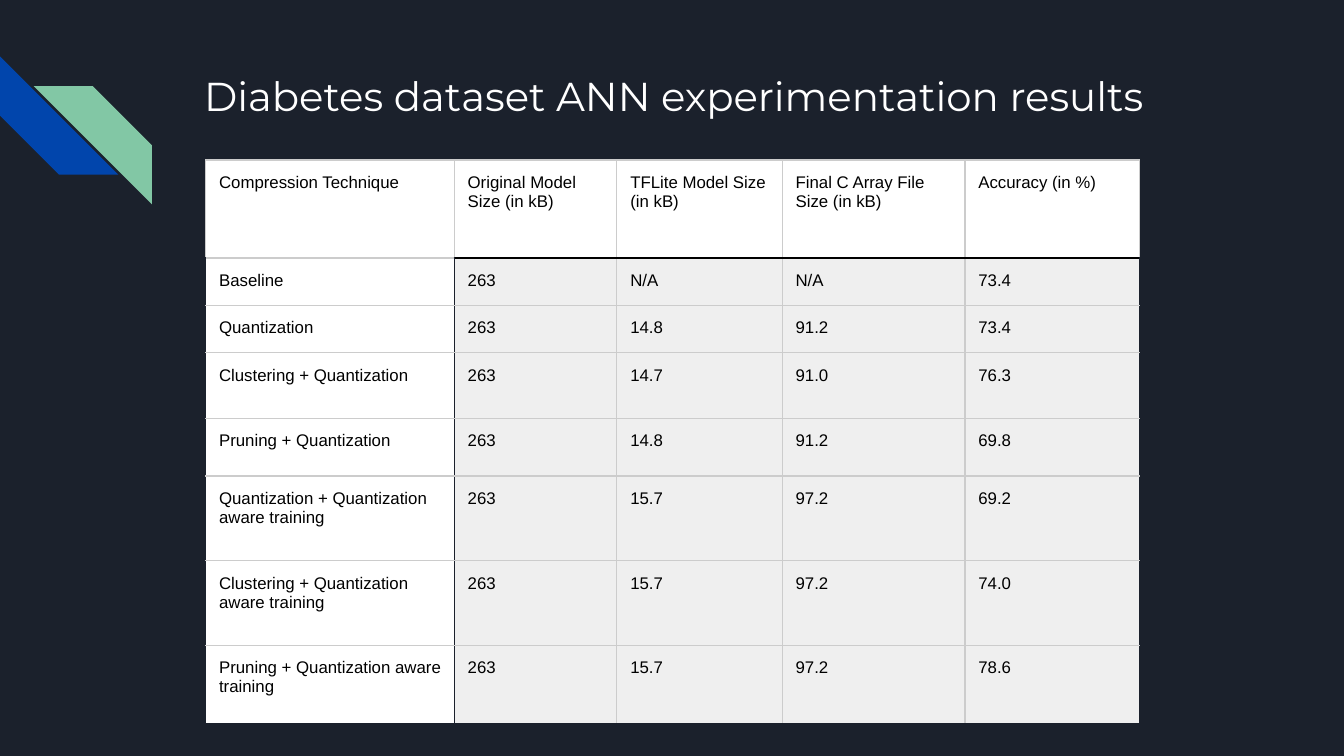
from lxml import etree
from pptx import Presentation
from pptx.dml.color import RGBColor
from pptx.enum.shapes import MSO_SHAPE
from pptx.enum.text import MSO_ANCHOR
from pptx.oxml.ns import qn
from pptx.util import Inches, Pt

STRIPE = MSO_SHAPE.DIAGONAL_STRIPE
TOP = MSO_ANCHOR.TOP

NAVY, BLUE, GREEN = "1B212C", "0145AC", "82C7A5"
WHITE, BLACK, PALE, GREY = "FFFFFF", "000000", "EFEFEF", "CCCCCC"

COLS = [1.85, 1.21, 1.23, 1.36, 1.3]
ROWS = [0.73, 0.34, 0.34, 0.49, 0.43, 0.63, 0.63, 0.58]
DATA = [
    ["Compression Technique", "Original Model Size (in kB)",
     "TFLite Model Size (in kB)", "Final C Array File Size (in kB)",
     "Accuracy (in %)"],
    ["Baseline", "263", "N/A", "N/A", "73.4"],
    ["Quantization", "263", "14.8", "91.2", "73.4"],
    ["Clustering + Quantization", "263", "14.7", "91.0", "76.3"],
    ["Pruning + Quantization", "263", "14.8", "91.2", "69.8"],
    ["Quantization + Quantization aware training", "263", "15.7", "97.2", "69.2"],
    ["Clustering + Quantization aware training", "263", "15.7", "97.2", "74.0"],
    ["Pruning + Quantization aware training", "263", "15.7", "97.2", "78.6"],
]


def paint(fill, color):
    fill.solid()
    fill.fore_color.rgb = RGBColor.from_string(color)


def write(frame, text, size=9, font="Arial", color=BLACK):
    frame.word_wrap = True
    run = frame.paragraphs[0].add_run()
    run.text = text
    run.font.size = Pt(size)
    run.font.name = font
    run.font.color.rgb = RGBColor.from_string(color)


def pad(box):
    box.margin_left = box.margin_right = Inches(0.1)
    box.margin_top = box.margin_bottom = Inches(0.1)
    box.vertical_anchor = TOP


def add_stripe(slide, left, top, color, turn=0, flip=False):
    side = Inches(0.88)
    shape = slide.shapes.add_shape(STRIPE, Inches(left), Inches(top), side, side)
    shape.shadow.inherit = False
    shape.adjustments[0] = 0.5
    shape.rotation = turn
    if flip:
        shape._element.spPr.xfrm.set("flipH", "1")
    paint(shape.fill, color)
    shape.line.fill.background()


def add_title(slide, text):
    box = slide.shapes.add_textbox(Inches(1.42), Inches(0.43), Inches(7.7), Inches(1))
    pad(box.text_frame)
    write(box.text_frame, text, size=21.6, font="Montserrat", color=WHITE)


def add_edge(cell, side, color):
    line = etree.SubElement(cell._tc.get_or_add_tcPr(), qn("a:ln" + side),
                            w=str(Pt(0.75)))
    fill = etree.SubElement(line, qn("a:solidFill"))
    etree.SubElement(fill, qn("a:srgbClr"), val=color)


def edges(row, col):
    """Edge colours of a cell: grey grid, black under the header, navy rim."""
    last_row, last_col = len(ROWS) - 1, len(COLS) - 1
    body = row > 0
    return {
        "L": NAVY if body and col <= 1 else GREY,
        "R": NAVY if body and col in (0, last_col) else GREY,
        "T": BLACK if row == 1 and col > 0 else GREY,
        "B": (BLACK if row == 0 and col > 0
              else NAVY if row == last_row else GREY),
    }


def add_grid(slide):
    frame = slide.shapes.add_table(len(ROWS), len(COLS), Inches(1.53), Inches(1.19),
                                   Inches(sum(COLS)), Inches(sum(ROWS)))
    table = frame.table
    table.first_row = table.horz_banding = False
    for col, width in zip(table.columns, COLS):
        col.width = Inches(width)
    for row, height in zip(table.rows, ROWS):
        row.height = Inches(height)
    for r, texts in enumerate(DATA):
        for c, text in enumerate(texts):
            cell = table.cell(r, c)
            pad(cell)
            write(cell.text_frame, text)
            for side, color in edges(r, c).items():
                add_edge(cell, side, color)
            paint(cell.fill, PALE if r and c else WHITE)


def main():
    deck = Presentation()
    # Widescreen, 16 to 9
    deck.slide_width = Inches(10)
    deck.slide_height = Inches(10) * 9 // 16
    slide = deck.slides.add_slide(deck.slide_layouts[6])
    paint(slide.background.fill, NAVY)

    # Corner stripes
    add_stripe(slide, 0, 0.42, BLUE, turn=270)
    add_stripe(slide, 0.25, 0.64, GREEN, flip=True)

    # Title and results
    add_title(slide, "Diabetes dataset ANN experimentation results")
    add_grid(slide)
    deck.save("out.pptx")


main()
